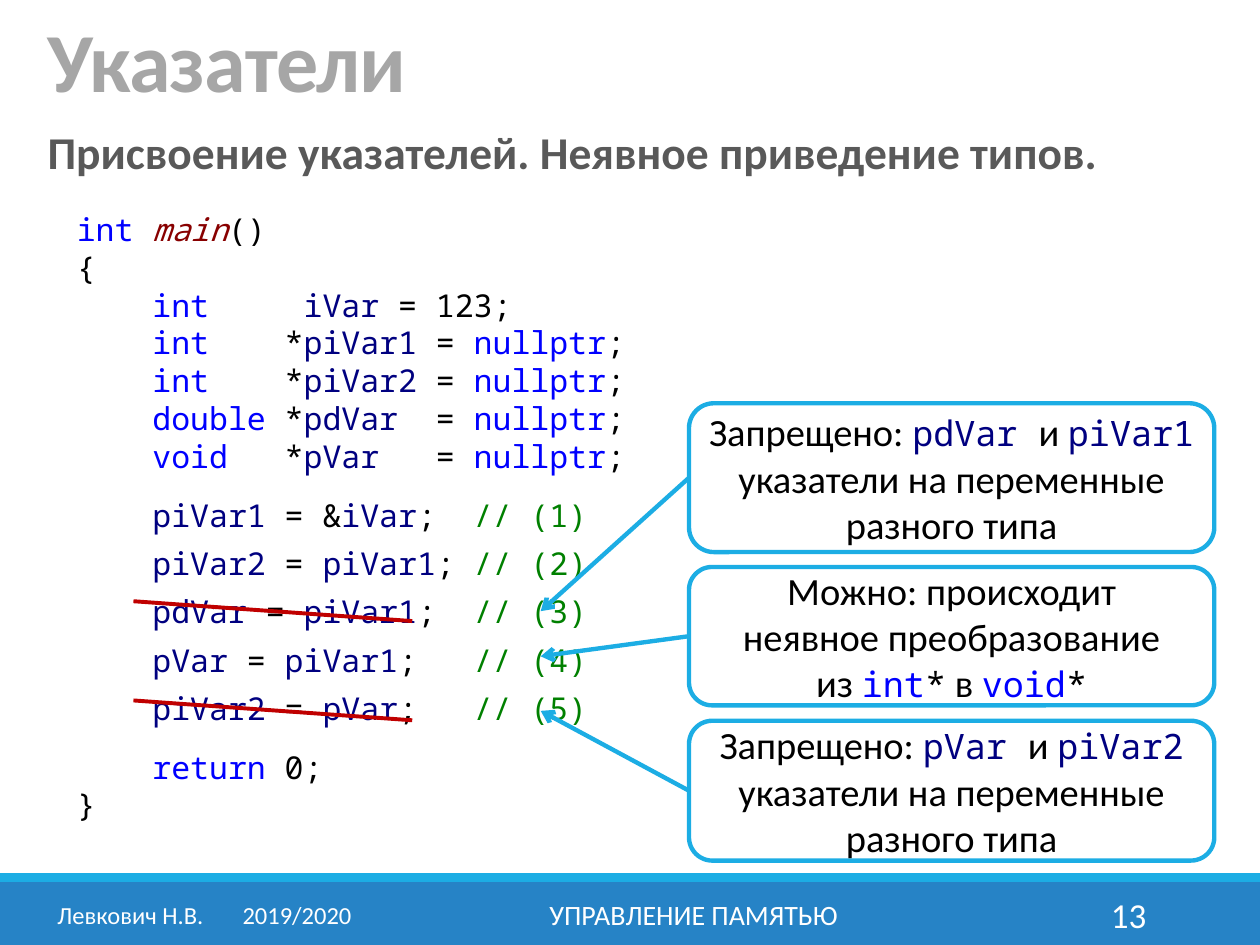
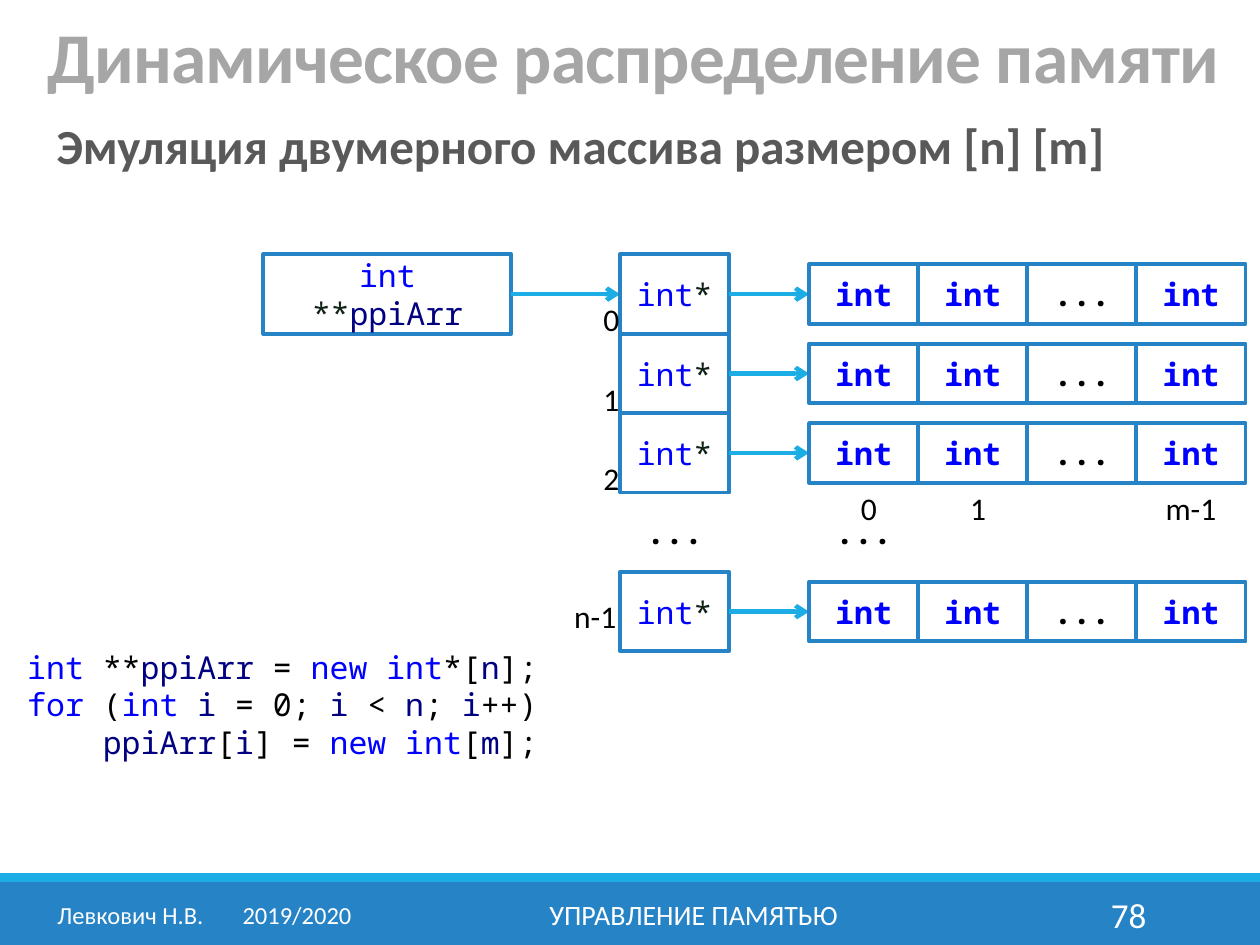
import itertools

import lxml.etree
import pptx
import pptx.dml.color
import pptx.enum.shapes
import pptx.enum.text
import pptx.oxml.ns
import pptx.util

Cm = pptx.util.Cm
Pt = pptx.util.Pt
SHAPES = pptx.enum.shapes.MSO_SHAPE
ALIGN = pptx.enum.text.PP_ALIGN
ANCHOR = pptx.enum.text.MSO_ANCHOR

COLOURS = {
    "band": "2683C6",
    "accent": "1CADE4",
    "title": "A6A6A6",
    "subtitle": "595959",
    "white": "FFFFFF",
    "black": "000000",
    "strike": "C00000",
    "keyword": "0000FF",
    "function": "880000",
    "identifier": "000080",
    "comment": "008000",
    "pointer": "102215",
}
KEYWORDS = {"int", "double", "void", "nullptr", "return", "new", "for"}
BODY_FONT, CODE_FONT = "Calibri", "Noto Sans Mono"
SLIDE_WIDTH, SLIDE_HEIGHT = 25.4, 19.05

ASSIGNMENT_CODE = """int main()
{
    int     iVar = 123;
    int    *piVar1 = nullptr;
    int    *piVar2 = nullptr;
    double *pdVar  = nullptr;
    void   *pVar   = nullptr;
    piVar1 = &iVar;  // (1)
    piVar2 = piVar1; // (2)
    pdVar = piVar1;  // (3)
    pVar = piVar1;   // (4)
    piVar2 = pVar;   // (5)
    return 0;
}"""
ALLOCATION_CODE = """int **ppiArr = new int*[n];
for (int i = 0; i < n; i++)
    ppiArr[i] = new int[m];"""


def rgb(name):
    return pptx.dml.color.RGBColor.from_string(COLOURS[name])


def plain(text, size, colour="black", **extra):
    return [(text, {"name": BODY_FONT, "size": Pt(size), "colour": colour, **extra})]


def code(line, size=18, symbol_colour="black", **extra):
    """Split a line of C++ into runs coloured by syntax."""
    statement, slashes, comment = line.partition("//")
    tokens = []
    for is_word, letters in itertools.groupby(statement, str.isalnum):
        word = "".join(letters)
        colour = symbol_colour
        if word in KEYWORDS:
            colour = "keyword"
        elif word == "main":
            colour = "function"
        elif is_word and word[0].isalpha():
            colour = "identifier"
        tokens.append((word, colour))
    if slashes:
        tokens.append((slashes + comment, "comment"))
    return [
        (word, {"name": CODE_FONT, "size": Pt(size), "colour": colour,
                "italic": colour == "function", **extra})
        for word, colour in tokens
    ]


def mixed(text):
    """Turn text with code between backticks into runs."""
    runs = []
    for index, part in enumerate(text.split("`")):
        runs += code(part, 20) if index % 2 else plain(part, 22)
    return runs


def add_runs(paragraph, runs):
    for text, font_format in runs:
        for index, piece in enumerate(text.split("\n")):
            if index:
                paragraph.add_line_break()
            if not piece:
                continue
            run = paragraph.add_run()
            run.text = piece
            for key, value in font_format.items():
                if key == "colour":
                    run.font.color.rgb = rgb(value)
                elif key == "spacing":
                    run.font._element.set("spc", str(value))
                else:
                    setattr(run.font, key, value)


def write(shape, lines, anchor=ANCHOR.MIDDLE, **paragraph_format):
    frame = shape.text_frame
    frame.word_wrap = True
    frame.vertical_anchor = anchor
    for index, runs in enumerate(lines):
        paragraph = frame.add_paragraph() if index else frame.paragraphs[0]
        for key, value in paragraph_format.items():
            setattr(paragraph, key, value)
        add_runs(paragraph, runs)
    return frame


def add_text(slide, box, runs, alignment=ALIGN.CENTER, **settings):
    shape = slide.shapes.add_textbox(*map(Cm, box))
    return write(shape, [runs], alignment=alignment, **settings)


def add_box(slide, box, runs=(), kind=SHAPES.RECTANGLE, fill=None, line=None, width=2.25):
    shape = slide.shapes.add_shape(kind, *map(Cm, box))
    shape.shadow.inherit = False
    if fill:
        shape.fill.solid()
        shape.fill.fore_color.rgb = rgb(fill)
    else:
        shape.fill.background()
    if line:
        shape.line.color.rgb = rgb(line)
        shape.line.width = Pt(width)
    else:
        shape.line.fill.background()
    if runs:
        write(shape, [runs], alignment=ALIGN.CENTER)


def add_line(slide, start, end, colour="accent", width=2.5, arrow=True):
    connector = slide.shapes.add_connector(
        pptx.enum.shapes.MSO_CONNECTOR.STRAIGHT, *map(Cm, (*start, *end)))
    connector.line.color.rgb = rgb(colour)
    connector.line.width = Pt(width)
    qualified = pptx.oxml.ns.qn
    if arrow:
        line = connector.line._get_or_add_ln()
        lxml.etree.SubElement(line, qualified("a:tailEnd"), type="arrow")
    lxml.etree.SubElement(connector._element.spPr, qualified("a:effectLst"))


def add_heading(slide, box, text, size, colour, **settings):
    spacing = {"spacing": -50} if colour == "title" else {}
    add_text(slide, box, plain(text, size, colour, bold=True, **spacing),
             alignment=ALIGN.LEFT, **settings)


def add_footer(slide, box, number):
    left, top, width, height = box
    stripe = 0.18
    add_box(slide, (left, top + stripe, width, height - stripe), fill="band")
    add_box(slide, (left, top, width, stripe), fill="accent")
    text_top, text_height = top + 0.33, 1.02
    author = add_text(slide, (left + 0.81, text_top, 6.63, text_height), [])
    properties = author.paragraphs[0]._element.get_or_add_pPr()
    tabs = lxml.etree.SubElement(properties, pptx.oxml.ns.qn("a:tabLst"))
    lxml.etree.SubElement(tabs, pptx.oxml.ns.qn("a:tab"), pos=str(Cm(3.73)), algn="l")
    add_runs(author.paragraphs[0], plain("Левкович Н.В.\t2019/2020", 14, "white"))
    add_text(slide, (left + 7.67, text_top, 12.62, text_height),
             plain("УПРАВЛЕНИЕ ПАМЯТЬЮ", 16, "white"))
    add_text(slide, (left + 20.62, text_top, 2.74, text_height),
             plain(str(number), 20, "white"), alignment=ALIGN.RIGHT)


def add_slide(presentation, number):
    slide = presentation.slides.add_slide(presentation.slide_layouts[6])
    add_footer(slide, (0, 17.6, SLIDE_WIDTH, SLIDE_HEIGHT - 17.6), number)
    return slide


def add_code(slide, box, listing, space_before=None):
    shape = slide.shapes.add_textbox(*map(Cm, box))
    frame = write(shape, map(code, listing.split("\n")), ANCHOR.TOP)
    for index, points in (space_before or {}).items():
        frame.paragraphs[index].space_before = Pt(points)


def add_callout(slide, box, text, target):
    left, top, _, height = box
    add_box(slide, box, mixed(text), SHAPES.ROUNDED_RECTANGLE, line="accent", width=2.5)
    add_line(slide, (left, top + height / 2), target)


def build_pointers(presentation):
    slide = add_slide(presentation, 13)
    add_heading(slide, (0.71, 0, 20.96, 2.34), "Указатели", 48, "title",
                anchor=ANCHOR.BOTTOM, line_spacing=0.85)
    add_heading(slide, (0.71, 2.51, 23.8, 1.24),
                "Присвоение указателей. Неявное приведение типов.", 26, "subtitle",
                anchor=ANCHOR.TOP, line_spacing=0.9)
    add_code(slide, (1.3, 4.11, 14.4, 12.75), ASSIGNMENT_CODE,
             {7: 12, 8: 6, 9: 6, 10: 6, 11: 6, 12: 12})
    forbidden = "Запрещено: `{} `и `{} `указатели на переменные разного типа"
    allowed = "Можно: происходит\nнеявное преобразование\nиз `int*` в `void*"
    callouts = [
        (14.53, 2.82, forbidden.format("pVar", "piVar2"), 14.33),
        (11.43, 2.79, allowed, 13.23),
        (8.13, 3.0, forbidden.format("pdVar", "piVar1"), 12.32),
    ]
    for top, height, text, target_top in callouts:
        add_callout(slide, (13.89, top, 10.59, height), text, (10.9, target_top))
    for top in (12.12, 14.12):
        add_line(slide, (2.69, top), (8.31, top + 0.4), "strike", 2.25, arrow=False)


def add_array_diagram(slide, box):
    """Draw the pointer, the column of row pointers and the rows they lead to."""
    left, top, width, height = box
    row_height, cell_width, gap = height / 5, 2.2, 0.2
    column_left = left + 7.19
    cells_left = left + width - 4 * cell_width
    dots = code("...", bold=True)

    def label(text, centre, label_top, label_width):
        add_text(slide, (centre - label_width / 2, label_top, label_width, 0.61),
                 plain(text, 18))

    add_box(slide, (left, top, 5, row_height),
            code("int **ppiArr", symbol_colour="pointer"), line="band")
    add_line(slide, (left + 5, top + row_height / 2), (column_left, top + row_height / 2))
    for row, index in enumerate(("0", "1", "2", None, "n-1")):
        row_top = top + row * row_height
        if index is None:
            for dots_left in (column_left, cells_left):
                add_text(slide, (dots_left, row_top, cell_width, row_height), dots)
            continue
        add_box(slide, (column_left, row_top, cell_width, row_height),
                code("int*", symbol_colour="pointer"), line="band")
        middle = row_top + row_height / 2
        add_line(slide, (column_left + cell_width, middle), (cells_left, middle))
        for column, text in enumerate(("int", "int", "...", "int")):
            add_box(slide, (cells_left + column * cell_width, row_top + gap,
                            cell_width, row_height - 2 * gap),
                    code(text, bold=True), line="band")
        if index == "n-1":
            label(index, column_left - 0.5, row_top + 0.59, 1.4)
        else:
            label(index, column_left - 0.28, row_top + 1, 0.61)
    for column, text, label_width in ((0, "0", 0.61), (1, "1", 0.61), (3, "m-1", 1.8)):
        label(text, cells_left + (column + 0.5) * cell_width,
              top + 3 * row_height, label_width)


def build_dynamic_memory(presentation):
    slide = add_slide(presentation, 78)
    add_heading(slide, (0.71, 0.33, 24.41, 1.73), "Динамическое распределение памяти",
                40.8, "title", anchor=ANCHOR.BOTTOM, line_spacing=0.75)
    add_heading(slide, (0.89, 2.34, 23.8, 1.35),
                "Эмуляция двумерного массива размером [n] [m]", 28, "subtitle",
                anchor=ANCHOR.TOP, line_spacing=0.9)
    add_array_diagram(slide, (5.31, 5.13, 19.8, 8))
    add_code(slide, (0.3, 12.93, 12.7, 2.57), ALLOCATION_CODE)


def main():
    presentation = pptx.Presentation()
    presentation.slide_width = Cm(SLIDE_WIDTH)
    presentation.slide_height = Cm(SLIDE_HEIGHT)
    build_pointers(presentation)
    build_dynamic_memory(presentation)
    presentation.save("out.pptx")


if __name__ == "__main__":
    main()
